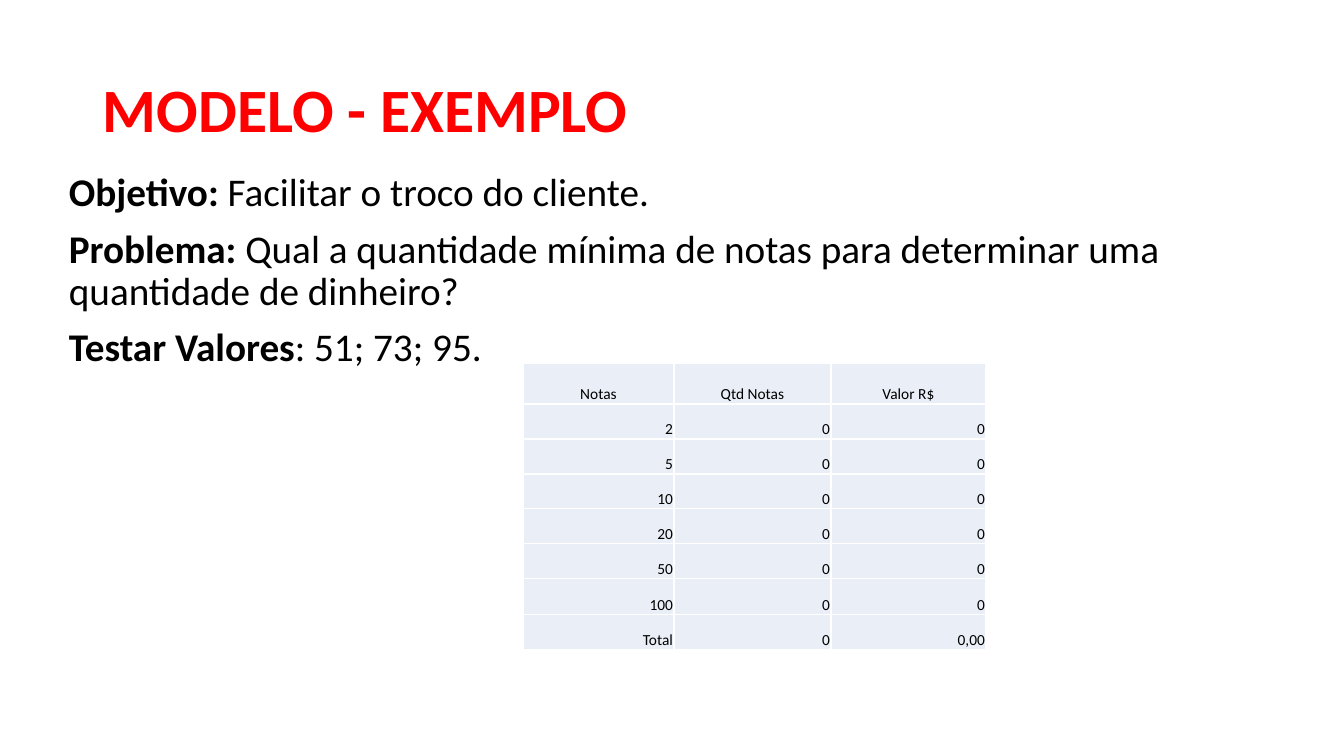
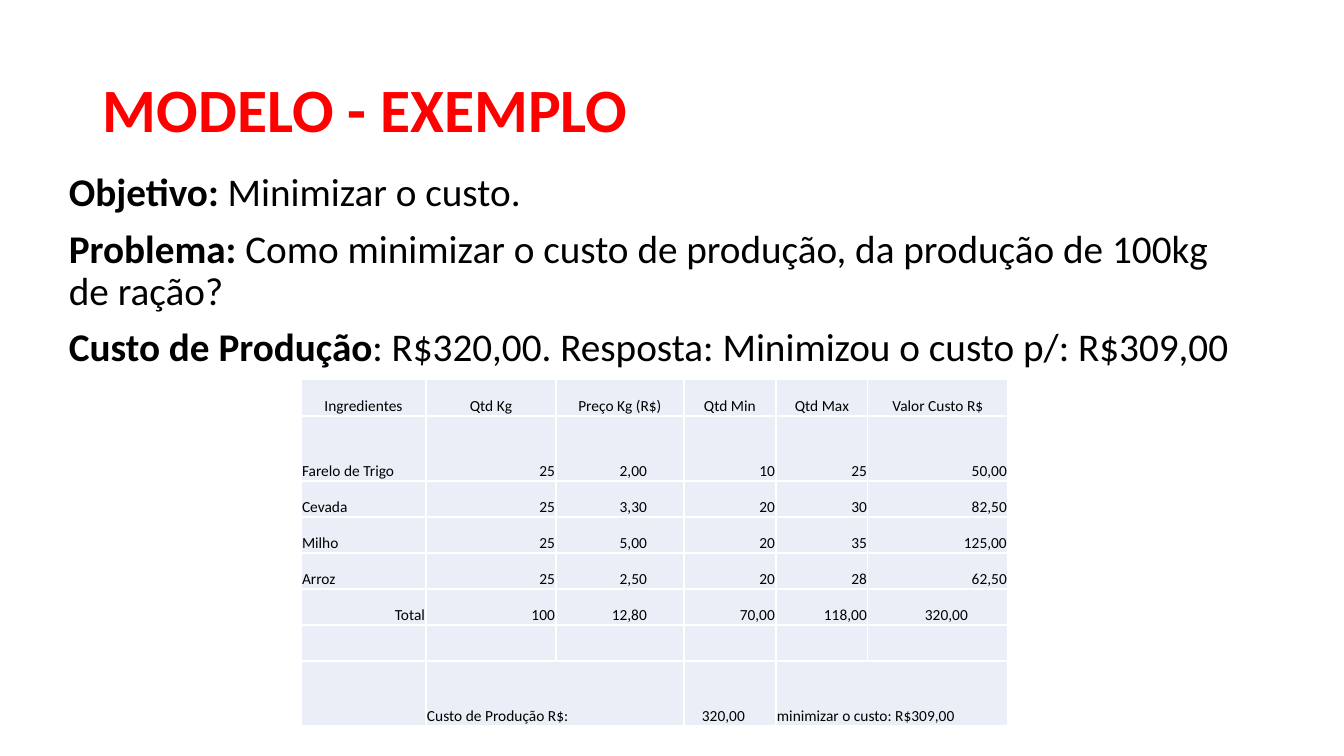
from lxml import etree
from pptx import Presentation
from pptx.dml.color import RGBColor
from pptx.enum.text import MSO_ANCHOR, PP_ALIGN
from pptx.oxml.ns import qn
from pptx.util import Emu, Pt

MIDDLE, BOTTOM = MSO_ANCHOR.MIDDLE, MSO_ANCHOR.BOTTOM
ALIGN = {"l": PP_ALIGN.LEFT, "c": PP_ALIGN.CENTER, "r": PP_ALIGN.RIGHT}
COLORS = {"title": "FF0000", "text": "000000", "cell": "EAEFF7", "border": "FFFFFF"}
FONT = "Calibri"
TITLE = "MODELO - EXEMPLO"
TITLE_BOX = (93, 40, 1159, 146)
BODY_BOX = (59, 168, 1192, 513)

SLIDES = [
    {
        "body": [
            ("Objetivo:", " Facilitar o troco do cliente."),
            ("Problema:", " Qual a quantidade mínima de notas para determinar uma quantidade de dinheiro?"),
            ("Testar Valores", ": 51; 73; 95."),
        ],
        "at": (523, 363),
        "cols": [151, 157, 155],
        "heights": [41, 35, 35, 35, 35, 35, 36, 35],
        "rows": [
            ("ccc", ["Notas", "Qtd Notas", "Valor R$"]),
            ("rrr", ["2", "0", "0"]),
            ("rrr", ["5", "0", "0"]),
            ("rrr", ["10", "0", "0"]),
            ("rrr", ["20", "0", "0"]),
            ("rrr", ["50", "0", "0"]),
            ("rrr", ["100", "0", "0"]),
            ("rrr", ["Total", "0", "0,00"]),
        ],
        "merges": [],
        "insets": {},
    },
    {
        "body": [
            ("Objetivo:", " Minimizar o custo."),
            ("Problema:", " Como minimizar o custo de produção, da produção de 100kg de ração?"),
            ("Custo de Produção", ": R$320,00. Resposta: Minimizou o custo p/: R$309,00"),
        ],
        "at": (301, 379),
        "cols": [125, 130, 128, 92, 92, 140],
        "heights": [37, 65, 36, 36, 36, 36, 36, 65],
        "rows": [
            ("cccccc", ["Ingredientes", "Qtd Kg", "Preço Kg (R$)", "Qtd Min", "Qtd Max", "Valor Custo R$"]),
            ("lrrrrr", ["Farelo de Trigo", "25", "2,00", "10", "25", "50,00"]),
            ("lrrrrr", ["Cevada", "25", "3,30", "20", "30", "82,50"]),
            ("lrrrrr", ["Milho", "25", "5,00", "20", "35", "125,00"]),
            ("lrrrrr", ["Arroz", "25", "2,50", "20", "28", "62,50"]),
            ("rrrrrr", ["Total", "100", "12,80", "70,00", "118,00", "320,00"]),
            ("llllll", ["", "", "", "", "", ""]),
            ("lllrll", ["", "Custo de Produção R$:", "", "320,00", "minimizar o custo: R$309,00", ""]),
        ],
        "merges": [(7, 1, 2), (7, 4, 5)],
        "insets": {**{(row, 2): 37 for row in range(1, 6)}, (5, 5): 40, (7, 3): 31},
    },
]


def px(n):
    return Emu(round(n * 914400 / 100.8))


def add_run(p, text, size, color="text", bold=False):
    r = p.add_run()
    r.text = text
    r.font.name = FONT
    r.font.size = Pt(size)
    r.font.bold = bold
    r.font.color.rgb = RGBColor.from_string(COLORS[color])


def add_box(s, box):
    tf = s.shapes.add_textbox(*map(px, box)).text_frame
    tf.word_wrap = True
    return tf


def add_title(s):
    tf = add_box(s, TITLE_BOX)
    tf.vertical_anchor = MIDDLE
    p = tf.paragraphs[0]
    p.line_spacing = 0.9
    add_run(p, TITLE, 44, color="title", bold=True)


def add_body(s, lines):
    tf = add_box(s, BODY_BOX)
    for i, (label, text) in enumerate(lines):
        p = tf.add_paragraph() if i else tf.paragraphs[0]
        p.line_spacing = 0.9
        p.space_before = Pt(10)
        add_run(p, label, 28, bold=True)
        add_run(p, text, 28)


def add_borders(cell):
    tcPr = cell._tc.get_or_add_tcPr()
    for side in ("a:lnL", "a:lnR", "a:lnT", "a:lnB"):
        ln = etree.SubElement(tcPr, qn(side), w=str(Pt(1)))
        fill = etree.SubElement(ln, qn("a:solidFill"))
        etree.SubElement(fill, qn("a:srgbClr"), val=COLORS["border"])


def format_cell(cell, text, align, inset):
    add_borders(cell)
    cell.fill.solid()
    cell.fill.fore_color.rgb = RGBColor.from_string(COLORS["cell"])
    cell.vertical_anchor = BOTTOM
    cell.margin_left = cell.margin_top = px(1)
    cell.margin_right = px(inset)
    cell.margin_bottom = 0
    p = cell.text_frame.paragraphs[0]
    p.alignment = ALIGN[align]
    if text:
        add_run(p, text, 11)


def add_grid(s, data):
    cols, heights = data["cols"], data["heights"]
    size = (sum(cols), sum(heights))
    table = s.shapes.add_table(len(heights), len(cols), *map(px, data["at"] + size)).table
    table.first_row = table.horz_banding = False
    for col, width in zip(table.columns, cols):
        col.width = px(width)
    for row, height in zip(table.rows, heights):
        row.height = px(height)
    for i, (aligns, texts) in enumerate(data["rows"]):
        for j, (align, text) in enumerate(zip(aligns, texts)):
            format_cell(table.cell(i, j), text, align, data["insets"].get((i, j), 1))
    for row, first, last in data["merges"]:
        table.cell(row, first).merge(table.cell(row, last))


prs = Presentation()
prs.slide_width, prs.slide_height = px(1344), px(756)
for data in SLIDES:
    s = prs.slides.add_slide(prs.slide_layouts[6])
    add_title(s)
    add_body(s, data["body"])
    add_grid(s, data)
prs.save("out.pptx")
